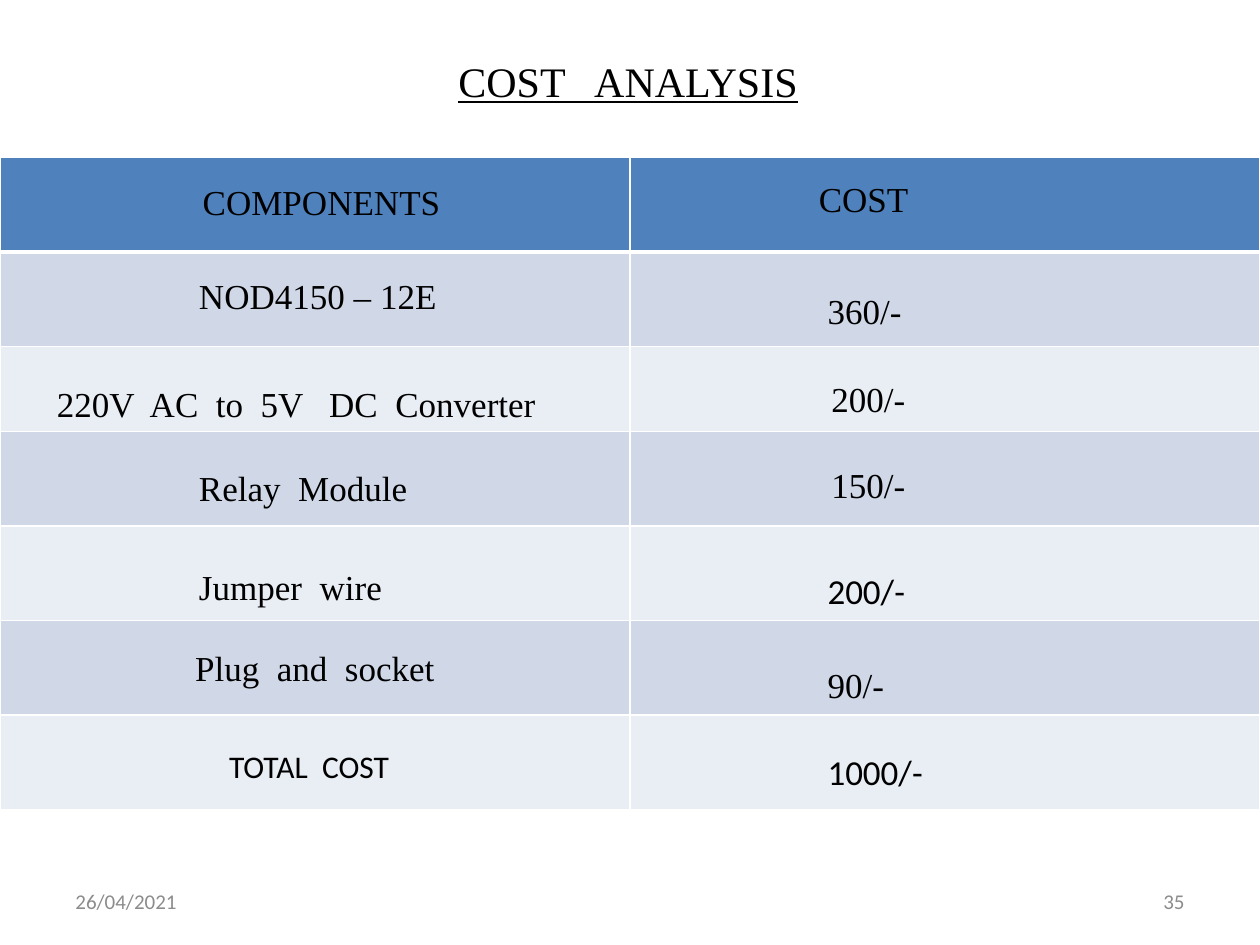
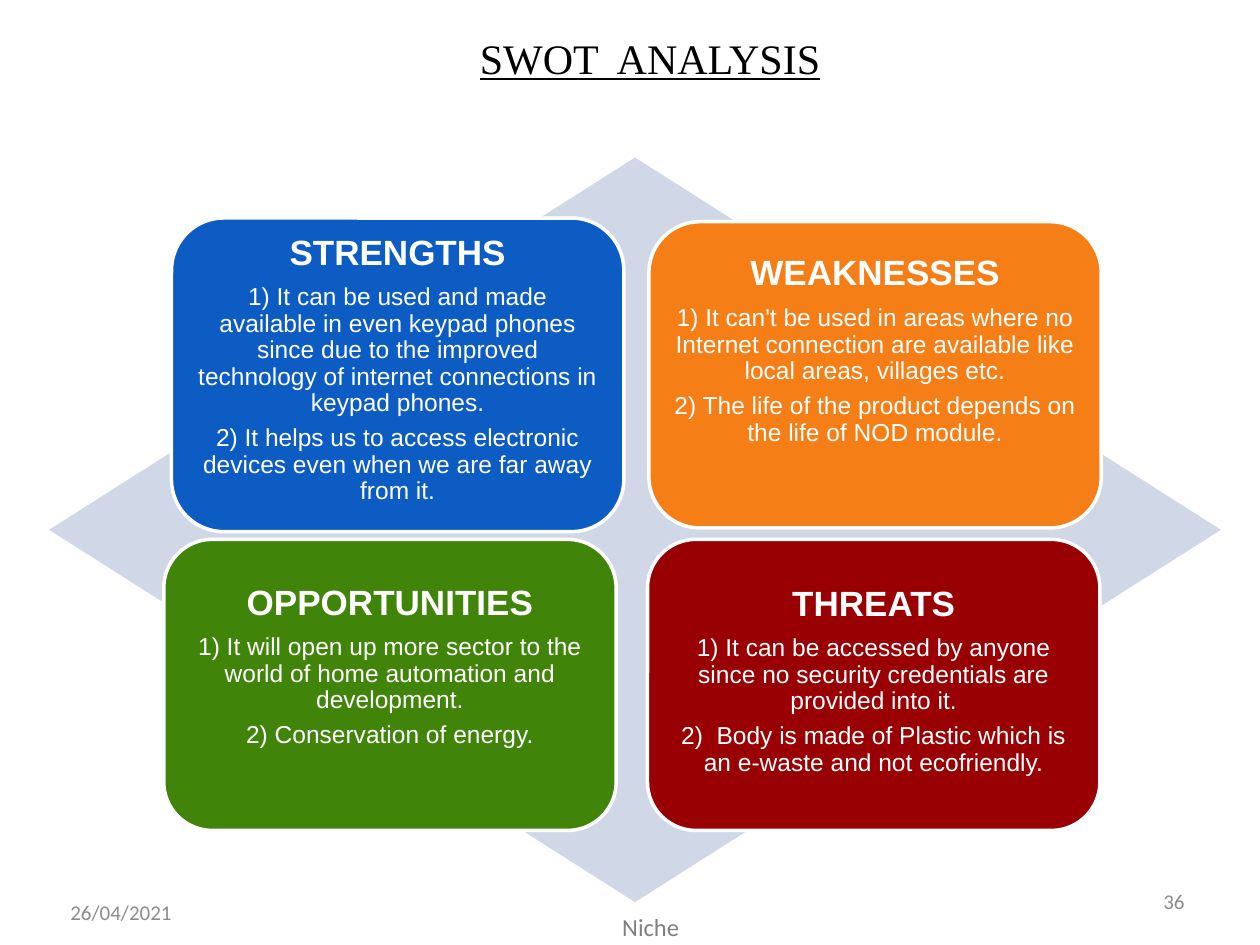
from lxml import etree
from pptx import Presentation
from pptx.dml.color import RGBColor
from pptx.enum.shapes import MSO_SHAPE
from pptx.enum.text import MSO_ANCHOR, PP_ALIGN
from pptx.oxml.ns import qn
from pptx.util import Pt

DIAMOND, ROUNDED = MSO_SHAPE.DIAMOND, MSO_SHAPE.ROUNDED_RECTANGLE
TOP, MIDDLE, BOTTOM = MSO_ANCHOR.TOP, MSO_ANCHOR.MIDDLE, MSO_ANCHOR.BOTTOM
LEFT, CENTER, RIGHT = PP_ALIGN.LEFT, PP_ALIGN.CENTER, PP_ALIGN.RIGHT

SERIF, SANS, BODY = "Times New Roman", "Arial", "Calibri"
BLACK, WHITE = "000000", "FFFFFF"
HEADER_BLUE, BAND_DARK, BAND_LIGHT = "4F81BD", "D0D8E8", "E9EDF4"
FOOTER_GRAY, NOTE_GRAY = "8C8C8C", "808080"
DATE = "26/04/2021"

ROW_HEIGHTS = [54, 54, 48.5, 54, 54, 54, 54]
CONVERTER_ROW = 2
CONVERTER = "220V  AC  to  5V   DC  Converter"

# text, left, top, font, size
COST_LABELS = [
    ("COMPONENTS", 108.7, 99.4, SERIF, 20),
    ("COST", 460.8, 97.9, SERIF, 20),
    ("NOD4150 – 12E", 106.6, 153.4, SERIF, 20),
    ("360/-", 465.8, 162, SERIF, 20),
    ("200/-", 468, 212.4, SERIF, 20),
    ("Relay  Module", 106.6, 263.2, SERIF, 20),
    ("150/-", 468, 261.4, SERIF, 20),
    ("Jumper  wire", 106.6, 319.7, SERIF, 20),
    ("200/-", 465.8, 321.8, BODY, 20),
    ("Plug  and  socket", 104.4, 365.8, SERIF, 20),
    ("90/-", 465.8, 375.4, SERIF, 20),
    ("TOTAL  COST", 123.8, 423.4, BODY, 18),
    ("1000/-", 465.8, 425.1, BODY, 20),
]

# heading, points, left, top, height, colour, space above the heading
SWOT_PANELS = [
    ("STRENGTHS",
     ["1) It can be used and made available in even keypad phones since due to "
      "the improved technology of internet connections in keypad phones.",
      "2) It helps us to access electronic devices even when we are far away from it."],
     98, 124.6, 179.2, "0C5CC4", 1.2),
    ("WEAKNESSES",
     ["1) It can't be used in areas where no Internet connection are available "
      "like local areas, villages etc.",
      "2) The life of the product depends on the life of NOD module."],
     370.8, 126.7, 175, "F67E17", 11.2),
    ("OPPORTUNITIES",
     ["1) It will open up more sector to the world of home automation and development.",
      "2) Conservation of energy."],
     93.6, 308.2, 166.3, "41840A", 18.2),
    ("THREATS",
     ["1) It can be accessed by anyone since no security credentials are provided into it.",
      "2)  Body is made of Plastic which is an e-waste and not ecofriendly."],
     370, 308.2, 166.3, "980004", 18.8),
]


def color(value):
    return RGBColor.from_string(value)


class Deck:
    """Holds the shared style and the slide being built."""

    def __init__(self):
        self.presentation = Presentation()
        self.presentation.slide_width = Pt(720)
        self.presentation.slide_height = Pt(540)
        self.slide = None

    def new_slide(self, title, title_left, title_top):
        self.slide = self.presentation.slides.add_slide(
            self.presentation.slide_layouts[6])
        self.text(title, title_left, title_top, 210.6, 36, size=24,
                  underline=True, wrap=False)

    def run(self, paragraph, text, font, size, ink, bold=False, underline=False):
        run = paragraph.add_run()
        run.text = text
        run.font.name = font
        run.font.size = Pt(size)
        run.font.bold = bold
        run.font.underline = underline
        run.font.color.rgb = color(ink)

    def text(self, text, left, top, width, height, font=SERIF, size=20, ink=BLACK,
             align=LEFT, anchor=TOP, underline=False, wrap=True):
        box = self.slide.shapes.add_textbox(Pt(left), Pt(top), Pt(width), Pt(height))
        frame = box.text_frame
        frame.word_wrap = wrap
        frame.vertical_anchor = anchor
        paragraph = frame.paragraphs[0]
        paragraph.alignment = align
        self.run(paragraph, text, font, size, ink, underline=underline)

    def footer(self, number, date_left, date_top):
        style = dict(font=BODY, size=12, ink=FOOTER_GRAY, anchor=MIDDLE)
        self.text(str(number), 516, 500.5, 168, 28.75, align=RIGHT, **style)
        self.text(DATE, date_left, date_top, 168, 28.75, **style)

    def shape(self, kind, left, top, width, height, fill, line=None):
        shape = self.slide.shapes.add_shape(
            kind, Pt(left), Pt(top), Pt(width), Pt(height))
        shape.shadow.inherit = False
        shape.fill.solid()
        shape.fill.fore_color.rgb = color(fill)
        if line:
            shape.line.color.rgb = color(line)
            shape.line.width = Pt(2)
        else:
            shape.line.fill.background()
        return shape

    def panel(self, heading, points, left, top, height, fill, space_above):
        shape = self.shape(ROUNDED, left, top, 258.5, height, fill, WHITE)
        frame = shape.text_frame
        frame.word_wrap = True
        frame.vertical_anchor = TOP
        frame.margin_left = frame.margin_right = Pt(5.75)
        frame.margin_top, frame.margin_bottom = Pt(space_above), Pt(0)
        for index, text in enumerate([heading, *points]):
            is_heading = index == 0
            paragraph = frame.paragraphs[0] if is_heading else frame.add_paragraph()
            size = 20 if is_heading else 14
            paragraph.alignment = CENTER
            paragraph.line_spacing = Pt(21 if is_heading else 15.1)
            paragraph.space_after = Pt(0.35 * size)
            self.run(paragraph, text, SANS, size, WHITE, bold=is_heading)

    def cell_borders(self, cell, top_width, bottom_width):
        """Draw white borders; they must come before the cell's fill in the XML."""
        properties = cell._tc.get_or_add_tcPr()
        widths = {"lnL": 1, "lnR": 1, "lnT": top_width, "lnB": bottom_width}
        for index, (side, width) in enumerate(widths.items()):
            line = etree.Element(qn(f"a:{side}"), w=str(Pt(width)))
            fill = etree.SubElement(line, qn("a:solidFill"))
            etree.SubElement(fill, qn("a:srgbClr"), val=WHITE)
            properties.insert(index, line)

    def table(self, left, top, column_widths, row_heights):
        table = self.slide.shapes.add_table(
            len(row_heights), len(column_widths), Pt(left), Pt(top),
            Pt(sum(column_widths)), Pt(sum(row_heights))).table
        for column, width in zip(table.columns, column_widths):
            column.width = Pt(width)
        for index, (row, height) in enumerate(zip(table.rows, row_heights)):
            row.height = Pt(height)
            band = BAND_DARK if index % 2 else BAND_LIGHT
            for cell in row.cells:
                cell.fill.solid()
                cell.fill.fore_color.rgb = color(band if index else HEADER_BLUE)
                self.cell_borders(cell, 3 if index == 1 else 1, 1 if index else 3)
        return table


def build_cost_slide(deck):
    deck.new_slide("COST   ANALYSIS", 254.9, 28.1)
    table = deck.table(0, 90, [360, 360], ROW_HEIGHTS)
    cell = table.cell(CONVERTER_ROW, 0)
    cell.vertical_anchor = BOTTOM
    cell.margin_left = Pt(32.5)
    deck.run(cell.text_frame.paragraphs[0], CONVERTER, SERIF, 20, BLACK)
    for text, left, top, font, size in COST_LABELS:
        deck.text(text, left, top, 168, 31.7, font, size)
    deck.footer(35, 36, 500.5)


def build_swot_slide(deck):
    deck.new_slide("SWOT  ANALYSIS", 267.1, 15.1)
    deck.shape(DIAMOND, 28.1, 90, 669.6, 425.5, BAND_DARK)
    for panel in SWOT_PANELS:
        deck.panel(*panel)
    deck.text("Niche", 348.5, 517.7, 47.5, 24.5, BODY, 14, NOTE_GRAY, wrap=False)
    deck.footer(36, 33.1, 506.9)


def main():
    deck = Deck()
    build_cost_slide(deck)
    build_swot_slide(deck)
    deck.presentation.save("out.pptx")


if __name__ == "__main__":
    main()
